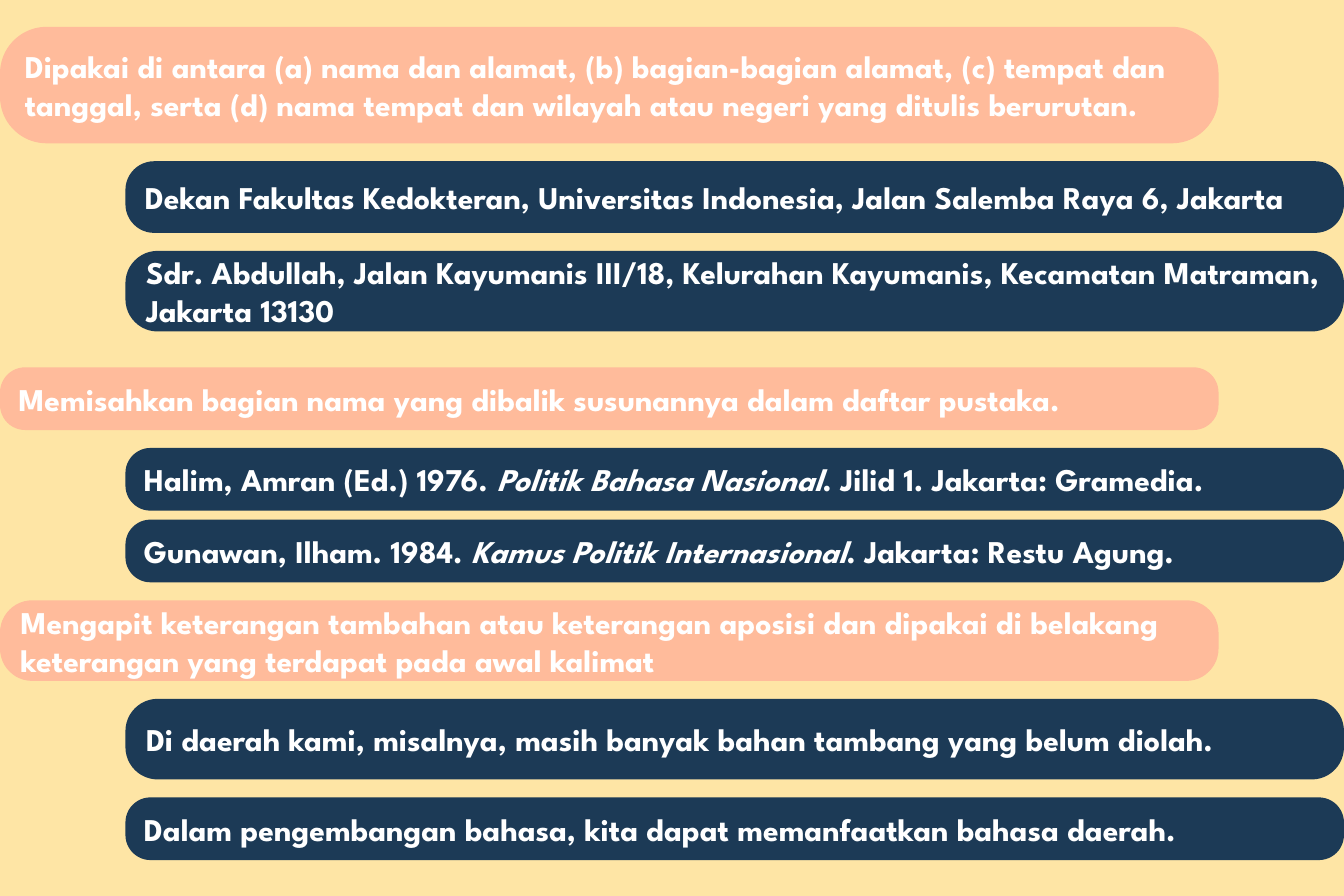
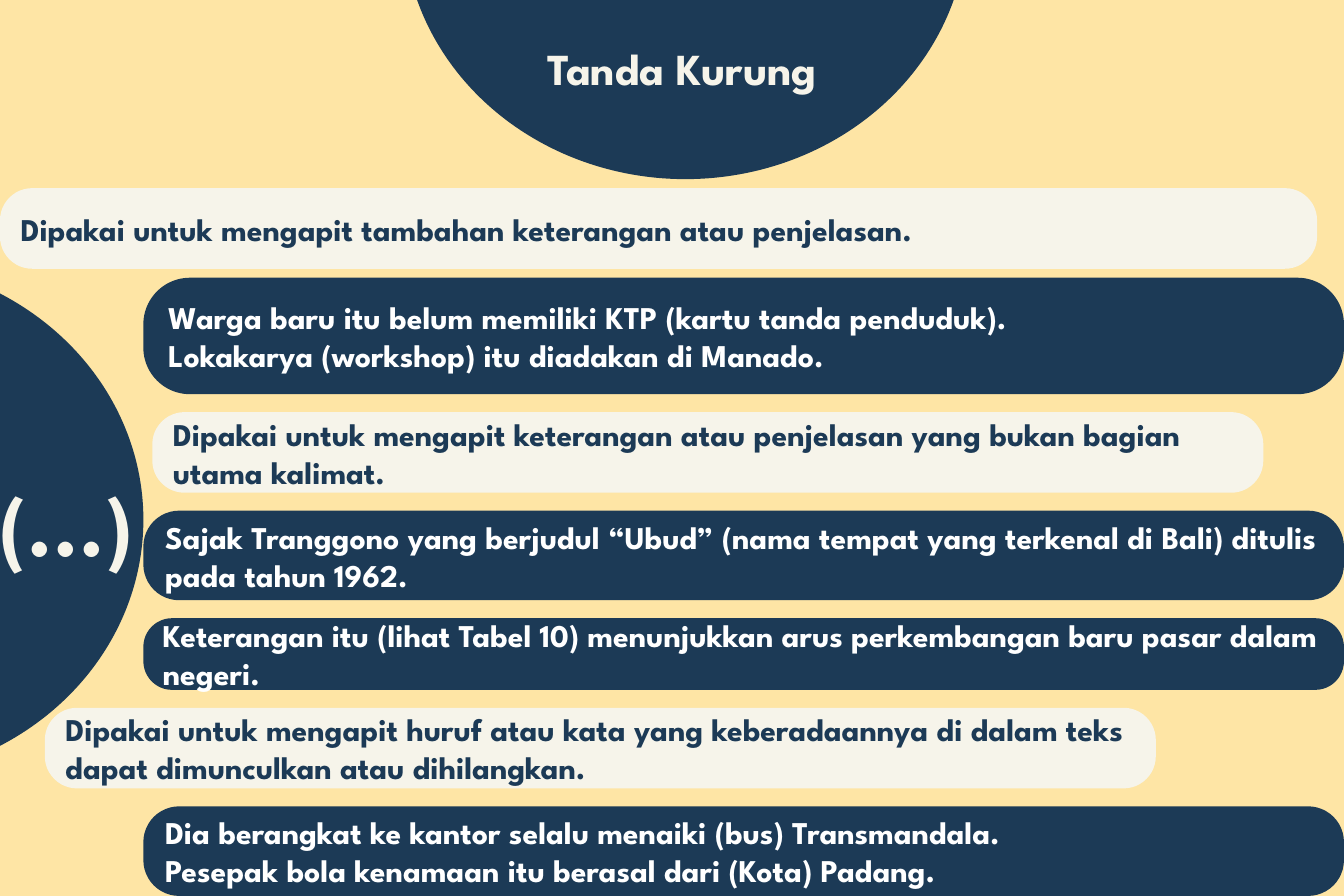
from pptx import Presentation
from pptx.dml.color import RGBColor
from pptx.enum.shapes import MSO_SHAPE as Preset
from pptx.enum.text import MSO_ANCHOR as Anchor, MSO_AUTO_SIZE as AutoSize, PP_ALIGN as Align
from pptx.util import Pt

COLORS = {"sand": "FEE5A5", "peach": "FFBB9B", "navy": "1C3A56",
          "cream": "F6F4EA", "white": "FFFFFF"}
FONT = "League Spartan"
GRID = 5.67  # points per grid unit; the slide is 150 by 100 units
COLUMNS, ROWS = 150, 100
ROUNDING = 0.4

# Bar styles: fill and text colour
STYLES = {"rule": ("peach", "white"), "example": ("navy", "white"),
          "note": ("cream", "navy")}

# Bars: style, left, top, width, height in grid units, paragraphs (*italic*)
COMMA_BARS = [
    ("rule", 0, 3, 136, 13, [
        "Dipakai di antara (a) nama dan alamat, (b) bagian-bagian alamat, (c) tempat dan "
        "tanggal, serta (d) nama tempat dan wilayah atau negeri yang ditulis berurutan."]),
    ("example", 14, 18, 136, 8, [
        "Dekan Fakultas Kedokteran, Universitas Indonesia, Jalan Salemba Raya 6, Jakarta"]),
    ("example", 14, 28, 136, 9, [
        "Sdr. Abdullah, Jalan Kayumanis III/18, Kelurahan Kayumanis, Kecamatan Matraman, "
        "Jakarta 13130"]),
    ("rule", 0, 41, 136, 7, [
        "Memisahkan bagian nama yang dibalik susunannya dalam daftar pustaka."]),
    ("example", 14, 50, 136, 7, [
        "Halim, Amran (Ed.) 1976. *Politik Bahasa Nasional*. Jilid 1. Jakarta: Gramedia."]),
    ("example", 14, 58, 136, 7, [
        "Gunawan, Ilham. 1984. *Kamus Politik Internasional*. Jakarta: Restu Agung."]),
    ("rule", 0, 67, 136, 9, [
        "Mengapit keterangan tambahan atau keterangan aposisi dan dipakai di belakang "
        "keterangan yang terdapat pada awal kalimat"]),
    ("example", 14, 78, 136, 9, [
        "Di daerah kami, misalnya, masih banyak bahan tambang yang belum diolah."]),
    ("example", 14, 89, 136, 7, [
        "Dalam pengembangan bahasa, kita dapat memanfaatkan bahasa daerah."]),
]
BRACKET_BARS = [
    ("note", 0, 21, 147, 9, [
        "Dipakai untuk mengapit tambahan keterangan atau penjelasan."]),
    ("example", 16, 31, 134, 13, [
        "Warga baru itu belum memiliki KTP (kartu tanda penduduk).",
        "Lokakarya (workshop) itu diadakan di Manado."]),
    ("note", 17, 46, 124, 9, [
        "Dipakai untuk mengapit keterangan atau penjelasan yang bukan bagian utama kalimat."]),
    ("example", 16, 57, 134, 10, [
        "Sajak Tranggono yang berjudul “Ubud” (nama tempat yang terkenal di Bali) ditulis "
        "pada tahun 1962."]),
    ("example", 16, 69, 134, 8, [
        "Keterangan itu (lihat Tabel 10) menunjukkan arus perkembangan baru pasar dalam "
        "negeri."]),
    ("note", 5, 79, 124, 9, [
        "Dipakai untuk mengapit huruf atau kata yang keberadaannya di dalam teks dapat "
        "dimunculkan atau dihilangkan."]),
    ("example", 16, 90, 134, 10, [
        "Dia berangkat ke kantor selalu menaiki (bus) Transmandala.",
        "Pesepak bola kenamaan itu berasal dari (Kota) Padang."]),
]


def rgb(name):
    return RGBColor.from_string(COLORS[name])


def grid(units):
    return Pt(round(units * GRID, 2))


def write(frame, paragraphs, size, color, align):
    """Fill a text frame; text between asterisks is italic."""
    for index, text in enumerate(paragraphs):
        paragraph = frame.add_paragraph() if index else frame.paragraphs[0]
        paragraph.alignment = align
        for part, words in enumerate(text.split("*")):
            run = paragraph.add_run()
            run.text = words
            font = run.font
            font.name, font.size, font.bold = FONT, Pt(size), True
            font.italic = part % 2 == 1
            font.color.rgb = rgb(color)


def add_filled(slide, preset, box, fill):
    shape = slide.shapes.add_shape(preset, *map(grid, box))
    shape.shadow.inherit = False
    shape.fill.solid()
    shape.fill.fore_color.rgb = rgb(fill)
    shape.line.fill.background()
    return shape


def add_bar(slide, style, left, top, width, height, paragraphs):
    fill, color = STYLES[style]
    bar = add_filled(slide, Preset.ROUNDED_RECTANGLE, (left, top, width, height), fill)
    bar.adjustments[0] = ROUNDING
    bar.text_frame.vertical_anchor = Anchor.MIDDLE
    write(bar.text_frame, paragraphs, 20, color, Align.LEFT)


def add_disc(slide, left, top):
    add_filled(slide, Preset.OVAL, (left, top, 63, 58), "navy")


def place_title(slide, text):
    title = slide.shapes.title
    title.left, title.top, title.width, title.height = Pt(292.5), Pt(22.5), Pt(278), Pt(41)
    frame = title.text_frame
    frame.auto_size = AutoSize.NONE
    frame.vertical_anchor = Anchor.TOP
    write(frame, [text], 28, "cream", Align.CENTER)
    # Bring the title in front of its disc
    title.element.getparent().append(title.element)


def add_symbol(slide, text):
    # Wide enough for one line, centred on the visible part of the disc
    box = slide.shapes.add_textbox(Pt(-28), Pt(294.5), Pt(140), Pt(73))
    frame = box.text_frame
    frame.word_wrap = True
    write(frame, [text], 54, "cream", Align.CENTER)


def main():
    presentation = Presentation()
    presentation.slide_width, presentation.slide_height = grid(COLUMNS), grid(ROWS)
    layouts = presentation.slide_layouts

    # Shared background
    background = presentation.slide_master.background.fill
    background.solid()
    background.fore_color.rgb = rgb("sand")

    # Comma rules
    comma = presentation.slides.add_slide(layouts.get_by_name("Blank"))
    for bar in COMMA_BARS:
        add_bar(comma, *bar)

    # Bracket rules
    bracket = presentation.slides.add_slide(layouts.get_by_name("Title Only"))
    add_disc(bracket, 45, -38)
    place_title(bracket, "Tanda Kurung")
    add_disc(bracket, -47, 29)
    add_symbol(bracket, "(...)")
    for bar in BRACKET_BARS:
        add_bar(bracket, *bar)

    presentation.save("out.pptx")


if __name__ == "__main__":
    main()
